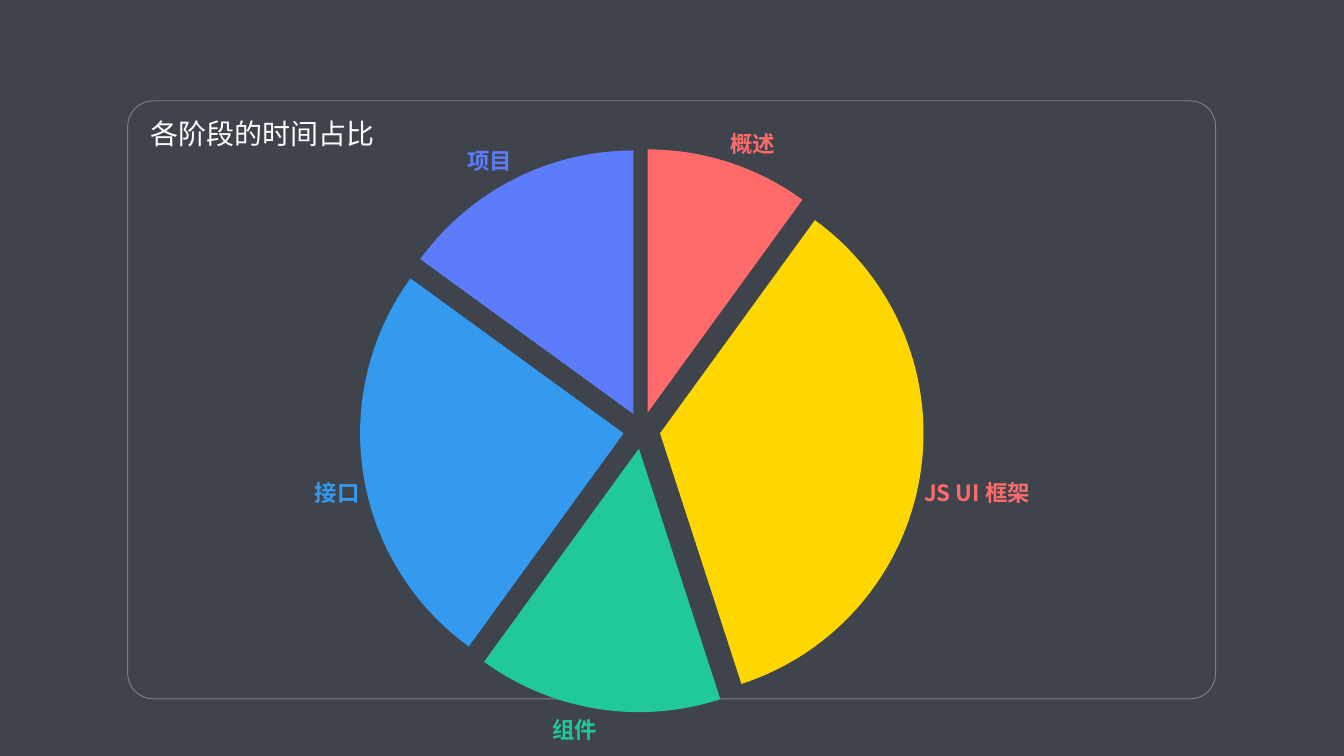
from lxml import etree
from pptx import Presentation
from pptx.chart.data import CategoryChartData
from pptx.dml.color import RGBColor
from pptx.enum import chart as ch, shapes, text
from pptx.oxml import ns
from pptx.util import Inches, Pt

FONT = "Noto Sans CJK SC"
HEX = {
    "back": "3F434C", "frame": "808080", "white": "FFFFFF",
    "red": "FF6B6B", "gold": "FFD700", "green": "20C997",
    "blue": "339AF0", "indigo": "5C7CFA",
}
TITLE = "各阶段的时间占比"
# stage, share, slice colour, label colour
STAGES = [
    ("概述", 10, "red", "red"),
    ("JS UI 框架", 35, "gold", "red"),
    ("组件", 15, "green", "green"),
    ("接口", 25, "blue", "blue"),
    ("项目", 15, "indigo", "indigo"),
]
EXPLODE = 7


def rgb(name):
    return RGBColor.from_string(HEX[name])


def box(*nums):
    return [Inches(n) for n in nums]


def style(font, size, color, bold=False):
    font.name, font.size, font.bold = FONT, Pt(size), bold
    font.color.rgb = rgb(color)


def add_frame(slide):
    frame = slide.shapes.add_shape(
        shapes.MSO_SHAPE.ROUNDED_RECTANGLE, *box(1.9, 1.5, 16.19, 8.9))
    frame.adjustments[0] = 0.043
    frame.shadow.inherit = False
    frame.fill.background()
    frame.line.color.rgb = rgb("frame")
    frame.line.width = Pt(1)


def add_title(slide):
    title = slide.shapes.title
    title.left, title.top, title.width, title.height = box(2.14, 1.68, 3.57, 0.61)
    frame = title.text_frame
    frame.word_wrap = False
    frame.auto_size = text.MSO_AUTO_SIZE.SHAPE_TO_FIT_TEXT
    frame.vertical_anchor = text.MSO_ANCHOR.TOP
    para = frame.paragraphs[0]
    para.alignment = text.PP_ALIGN.LEFT
    run = para.add_run()
    run.text = TITLE
    style(run.font, 30, "white")


def show_names(node):
    """Make every data label show the category name only."""
    for tag, val in (("c:showVal", "0"), ("c:showCatName", "1"),
                     ("c:showPercent", "0")):
        for item in node.iter(ns.qn(tag)):
            item.set("val", val)


def add_pie(slide):
    data = CategoryChartData()
    data.categories = [stage[0] for stage in STAGES]
    data.add_series("Series 1", [stage[1] for stage in STAGES])
    pie = slide.shapes.add_chart(
        ch.XL_CHART_TYPE.PIE, *box(2.81, 1.64, 14.39, 9.61), data).chart
    pie.has_legend = pie.has_title = False
    style(pie.font, 10, "white")
    plot = pie.plots[0]
    plot.vary_by_categories = True
    series = plot.series[0]
    outer = ch.XL_LABEL_POSITION.OUTSIDE_END

    labels = series.data_labels
    labels.position = outer
    labels.show_category_name, labels.show_value = True, False
    style(labels.font, 24, "red", True)
    for i, (_, _, fill, color) in enumerate(STAGES):
        point = series.points[i]
        point.format.fill.solid()
        point.format.fill.fore_color.rgb = rgb(fill)
        style(point.data_label.font, 24, color, True)
        point.data_label.position = outer

    node = series._element
    show_names(node)
    burst = etree.Element(ns.qn("c:explosion"), val=str(EXPLODE))
    node.find(ns.qn("c:dPt")).addprevious(burst)
    for latin in pie._chartSpace.iter(ns.qn("a:latin")):
        latin.addnext(etree.Element(ns.qn("a:ea"), typeface=FONT))


def main():
    deck = Presentation()
    deck.slide_width, deck.slide_height = box(20, 11.25)
    slide = deck.slides.add_slide(deck.slide_layouts[5])
    slide.background.fill.solid()
    slide.background.fill.fore_color.rgb = rgb("back")
    add_frame(slide)
    add_title(slide)
    add_pie(slide)
    deck.save("out.pptx")


if __name__ == "__main__":
    main()
